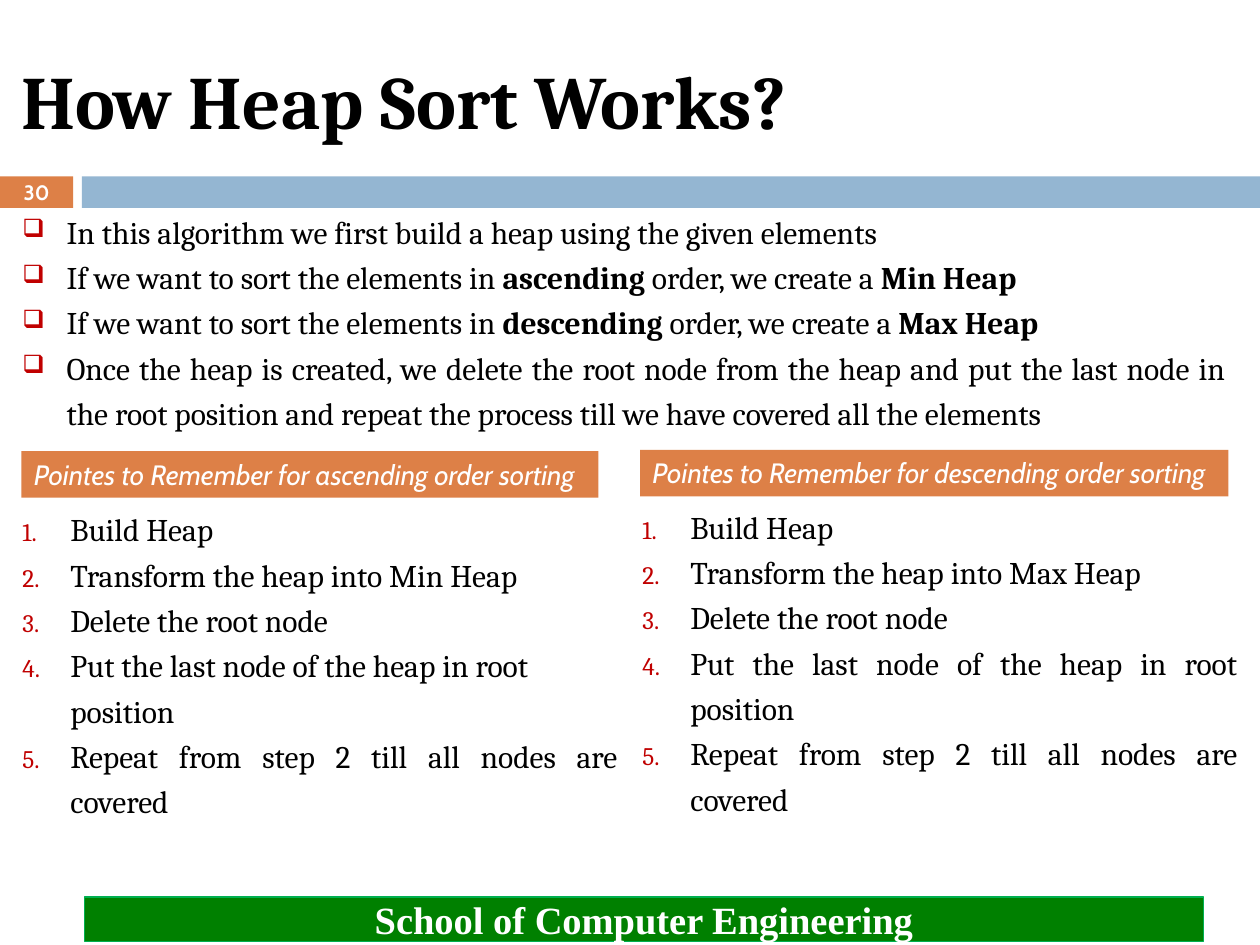
from lxml.etree import SubElement
from pptx import Presentation
from pptx.dml.color import RGBColor
from pptx.enum.shapes import MSO_SHAPE
from pptx.enum.text import MSO_ANCHOR, PP_ALIGN
from pptx.oxml.ns import qn
from pptx.util import Inches, Pt

ORANGE = RGBColor(0xDD, 0x80, 0x47)
BLUE = RGBColor(0x94, 0xB6, 0xD2)
GREEN = RGBColor(0x00, 0x80, 0x00)
GREEN_EDGE = RGBColor(0x00, 0xB0, 0x50)
RED = RGBColor(0xC0, 0x00, 0x00)
BLACK = RGBColor(0, 0, 0)
WHITE = RGBColor(0xFF, 0xFF, 0xFF)

# Bold words stand between asterisks
OVERVIEW = [
    "In this algorithm we first build a heap using the given elements",
    "If we want to sort the elements in *ascending* order, we create a *Min Heap*",
    "If we want to sort the elements in *descending *order, we create a *Max Heap*",
    "Once the heap is created, we delete the root node from the heap and put the "
    "last node in the root position and repeat the process till we have covered "
    "all the elements",
]


def heap_steps(kind):
    return [
        "Build Heap",
        f"Transform the heap into {kind} Heap",
        "Delete the root node",
        "Put the last node of the heap in root position",
        "Repeat from step 2 till all nodes are covered",
    ]


def add_text(para, text, font="Cambria", size=18, color=BLACK, bold=False,
             italic=False, align=PP_ALIGN.LEFT):
    para.alignment = align
    for index, part in enumerate(text.split("*")):
        if part:
            span = para.add_run()
            span.text = part
            span.font.name = font
            span.font.size = Pt(size)
            span.font.color.rgb = color
            span.font.bold = bold or index % 2 == 1
            span.font.italic = italic


def add_box(page, left, top, width, height, anchor=MSO_ANCHOR.TOP):
    box = page.shapes.add_textbox(Inches(left), Inches(top),
                                  Inches(width), Inches(height))
    box.text_frame.word_wrap = True
    box.text_frame.vertical_anchor = anchor
    return box


def add_bar(page, left, top, width, height, fill, edge=None,
            anchor=MSO_ANCHOR.MIDDLE):
    bar = page.shapes.add_shape(MSO_SHAPE.RECTANGLE, Inches(left), Inches(top),
                                Inches(width), Inches(height))
    bar.shadow.inherit = False
    bar.fill.solid()
    bar.fill.fore_color.rgb = fill
    if edge is None:
        bar.line.fill.background()
    else:
        bar.line.color.rgb = edge
        bar.line.width = Pt(0.75)
    bar.text_frame.word_wrap = True
    bar.text_frame.vertical_anchor = anchor
    return bar


def add_marker(para, indent, numbered):
    props = para._p.get_or_add_pPr()
    props.set("marL", str(Inches(indent)))
    props.set("indent", str(-Inches(indent)))
    color = SubElement(props, qn("a:buClr"))
    SubElement(color, qn("a:srgbClr"), val=str(RED))
    SubElement(props, qn("a:buSzPct"), val="80000")
    if numbered:
        SubElement(props, qn("a:buAutoNum"), type="arabicPeriod")
    else:
        SubElement(props, qn("a:buChar"), char="❑")


def add_list(page, left, top, width, height, items, indent, numbered=False,
             justify_from=0):
    frame = add_box(page, left, top, width, height).text_frame
    for index, item in enumerate(items):
        para = frame.add_paragraph() if index else frame.paragraphs[0]
        add_marker(para, indent, numbered)
        para.line_spacing = 1.2
        justified = index >= justify_from
        add_text(para, item,
                 align=PP_ALIGN.JUSTIFY if justified else PP_ALIGN.LEFT)


def add_heading(page, left, top, width, text):
    bar = add_bar(page, left, top, width, 0.37, ORANGE, anchor=MSO_ANCHOR.TOP)
    add_text(bar.text_frame.paragraphs[0], text, font="Cabin", size=16,
             color=WHITE, italic=True)


def main():
    deck = Presentation()
    deck.slide_width, deck.slide_height = Inches(10), Inches(7.5)
    page = deck.slides.add_slide(deck.slide_layouts[6])

    # Band with the page number
    add_bar(page, 0, 1.4, 0.58, 0.25, ORANGE)
    add_bar(page, 0.65, 1.4, 9.35, 0.25, BLUE)
    number = add_box(page, 0, 1.39, 0.58, 0.27, MSO_ANCHOR.MIDDLE)
    add_text(number.text_frame.paragraphs[0], "30", font="Cabin", size=11.9,
             color=WHITE, bold=True, align=PP_ALIGN.CENTER)

    # Title
    title = add_box(page, 0.07, 0.25, 8.92, 1.08, MSO_ANCHOR.MIDDLE)
    add_text(title.text_frame.paragraphs[0], "How Heap Sort Works?", size=43,
             bold=True)

    # Footer
    footer = add_bar(page, 0.67, 7.12, 8.88, 0.35, GREEN, GREEN_EDGE)
    add_text(footer.text_frame.paragraphs[0], "School of Computer Engineering",
             font="Times New Roman", size=22, color=WHITE, bold=True,
             align=PP_ALIGN.CENTER)

    # Overview
    add_list(page, 0.08, 1.58, 9.75, 1.92, OVERVIEW, 0.35, justify_from=3)

    # Ascending and descending columns
    add_heading(page, 0.17, 3.58, 4.58,
                "Pointes to Remember for ascending order sorting")
    add_list(page, 0.08, 3.94, 4.92, 2.65, heap_steps("Min"), 0.38,
             numbered=True, justify_from=4)
    add_heading(page, 5.08, 3.57, 4.67,
                "Pointes to Remember for descending order sorting")
    add_list(page, 5, 3.92, 4.92, 2.65, heap_steps("Max"), 0.38, numbered=True)

    deck.save("out.pptx")


if __name__ == "__main__":
    main()
